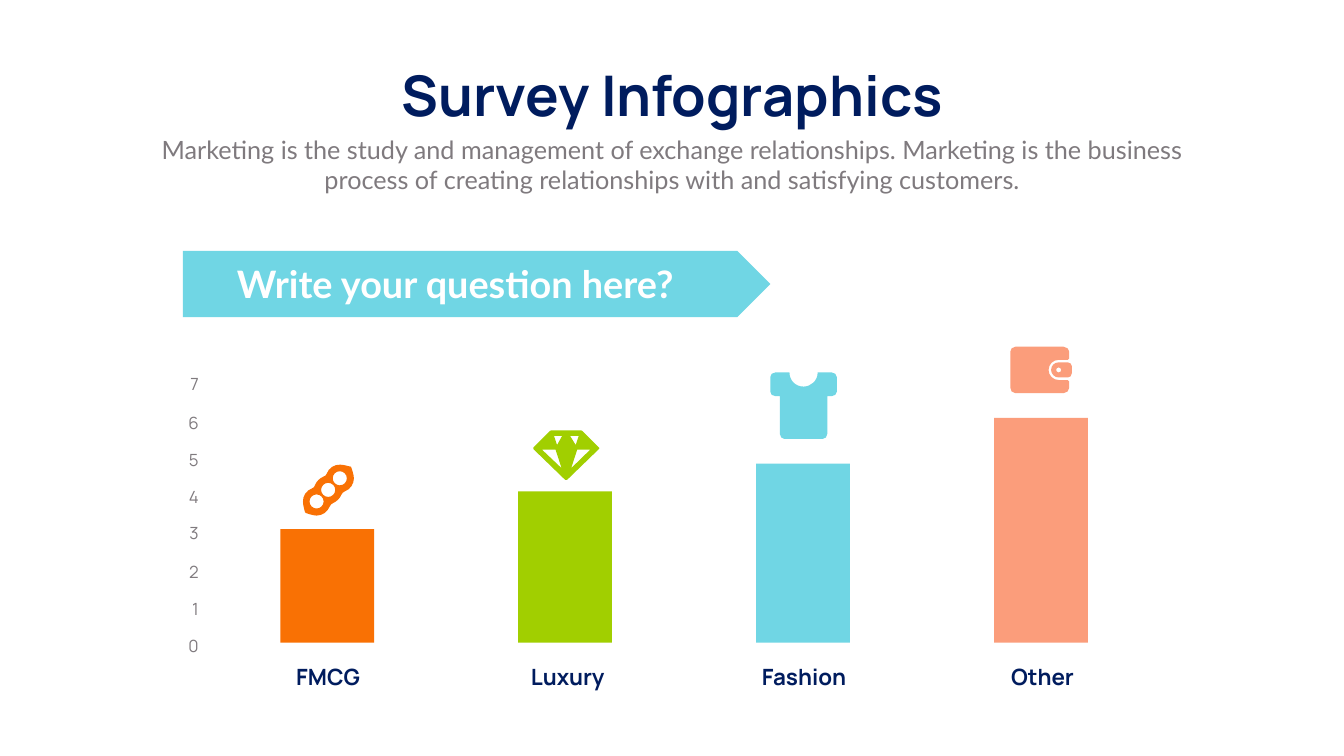
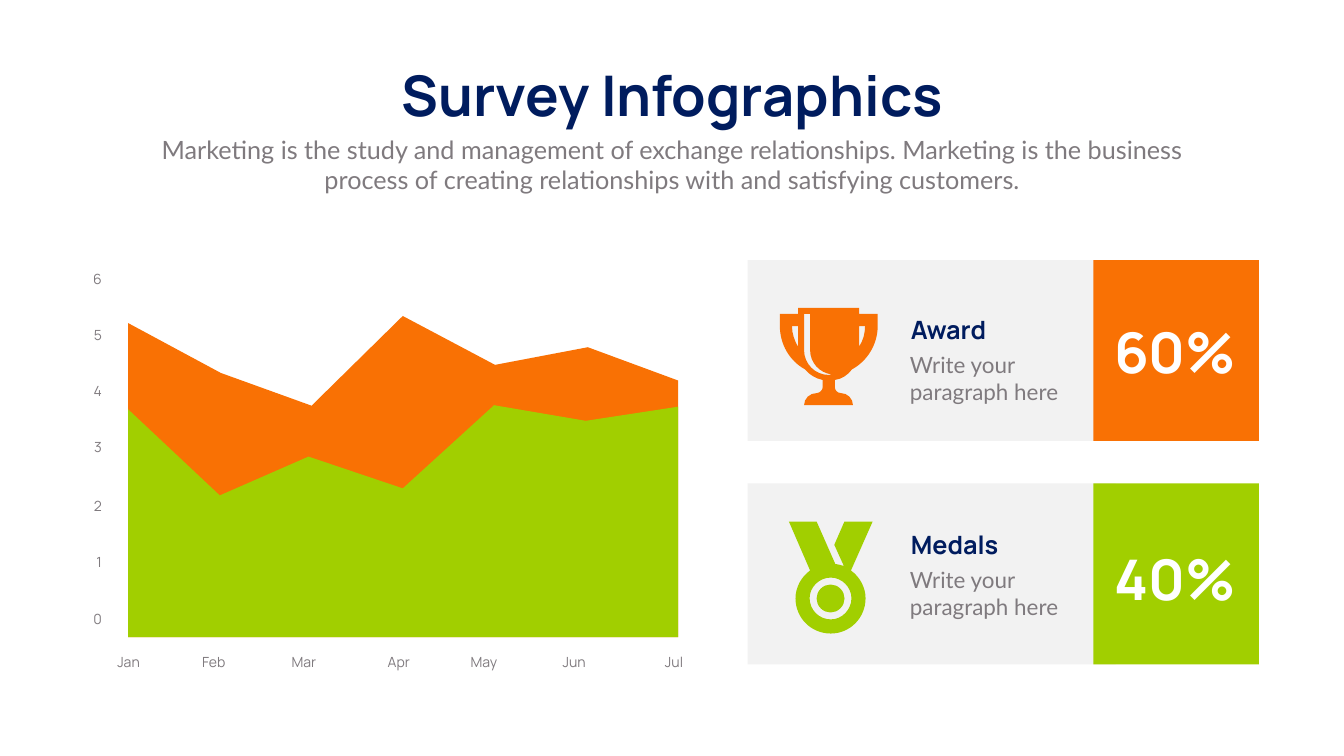
from pptx import Presentation
from pptx.dml.color import RGBColor
from pptx.enum.shapes import MSO_SHAPE as SHAPE
from pptx.enum.text import MSO_AUTO_SIZE as FIT, PP_ALIGN as ALIGN
from pptx.oxml.ns import qn
from pptx.util import Pt

PX = 9144  # EMU in one px, 100 px to the inch
rgb = RGBColor.from_string

NAVY, GREY, WHITE, PALE = "001C5E", "7F7A7E", "FFFFFF", "F2F2F2"
ORANGE, GREEN, CYAN, SALMON = "F97104", "A1CF00", "70D6E4", "FB9D7B"
HEAD, BODY = "Manrope", "Lato"
AXIS_LEADING = 35.6


def add_text(s, words, box, size, color, font=HEAD, bold=False,
             align=ALIGN.LEFT, leading=None, wrap=True):
    tf = s.shapes.add_textbox(*[v * PX for v in box]).text_frame
    tf.word_wrap = wrap
    tf.auto_size = FIT.SHAPE_TO_FIT_TEXT
    p = tf.paragraphs[0]
    p.text = words
    p.alignment = align
    if leading:
        p.line_spacing = Pt(leading)
    p.font.name, p.font.size, p.font.bold = font, Pt(size), bold
    p.font.color.rgb = rgb(color)


def add_figure(s, fill, form, *box):
    """Add a preset in a box, or a freeform from contours.

    A contour holds points (x, y) and Bezier curves (x1, y1, x2, y2, x, y),
    or a single circle (cx, cy, r).
    """
    if box:
        sp = s.shapes.add_shape(form, *[v * PX for v in box])
    else:
        fb, steps = None, []
        for contour in form:
            if len(contour[0]) == 3:
                cx, cy, r = contour[0]
                k = 0.55 * r
                contour = [(cx + r, cy),
                           (cx + r, cy + k, cx + k, cy + r, cx, cy + r),
                           (cx - k, cy + r, cx - r, cy + k, cx - r, cy),
                           (cx - r, cy - k, cx - k, cy - r, cx, cy - r),
                           (cx + k, cy - r, cx + r, cy - k, cx + r, cy)]
            steps += contour[1:]
            pts = [(step[i] * PX, step[i + 1] * PX)
                   for step in contour for i in range(0, len(step), 2)]
            if fb is None:
                fb = s.shapes.build_freeform(*pts[0], scale=1.0)
            else:
                fb.move_to(*pts[0])
            fb.add_line_segments(pts[1:], close=True)
        sp = fb.convert_to_shape()
        # Join the three points of each curve into one Bezier segment
        lines = iter(list(sp.element.iter(qn("a:lnTo"))))
        for step in steps:
            seg = next(lines)
            if len(step) == 6:
                seg.tag = qn("a:cubicBezTo")
                for extra in (next(lines), next(lines)):
                    seg.append(extra[0])
                    extra.getparent().remove(extra)
    sp.shadow.inherit = False
    sp.fill.solid()
    sp.fill.fore_color.rgb = rgb(fill)
    sp.line.fill.background()


# Icon outlines
peanut = [
    [(702, 949), (702, 942, 697, 928, 697, 928), (697, 927, 696, 926, 696, 926),
     (695, 926, 682, 922, 675, 922), (663, 921, 652, 929, 648, 940),
     (647, 943, 645, 945, 641, 946), (634, 949, 628, 955, 625, 962),
     (624, 966, 622, 968, 619, 969), (608, 973, 600, 984, 601, 996),
     (601, 1003, 605, 1016, 605, 1016), (606, 1017, 606, 1018, 607, 1018),
     (607, 1018, 621, 1023, 628, 1023), (640, 1023, 650, 1015, 654, 1005),
     (655, 1002, 658, 999, 661, 998), (668, 995, 674, 989, 677, 982),
     (678, 979, 681, 976, 684, 975), (695, 971, 702, 960, 702, 949)],
    [(628, 995, 14)], [(651, 972, 14)], [(674, 949, 14)],
]
diamond = [
    [(1188, 888), (1155, 855), (1155, 854, 1154, 854, 1153, 854), (1093, 854),
     (1092, 854, 1092, 854, 1091, 855), (1058, 888), (1058, 888, 1058, 889, 1058, 889),
     (1058, 890, 1058, 891, 1058, 891), (1121, 952),
     (1122, 952, 1123, 952, 1123, 952), (1124, 952, 1125, 952, 1125, 952), (1188, 891),
     (1189, 891, 1189, 890, 1189, 889), (1189, 889, 1189, 888, 1188, 888)],
    [(1075, 892), (1102, 892), (1114, 929), (1075, 892)],
    [(1105, 883), (1099, 865), (1115, 865), (1105, 883)],
    [(1148, 865), (1142, 883), (1131, 865), (1148, 865)],
    [(1133, 929), (1145, 892), (1171, 892), (1133, 929)],
]
shirt = [
    [(1650, 739), (1622, 739), (1622, 755, 1609, 767, 1594, 767),
     (1578, 767, 1566, 755, 1566, 739), (1538, 739),
     (1532, 739, 1528, 743, 1528, 748), (1528, 777),
     (1528, 782, 1532, 786, 1538, 786), (1547, 786), (1547, 861),
     (1547, 866, 1551, 871, 1556, 871), (1632, 871),
     (1637, 871, 1641, 866, 1641, 861), (1641, 786), (1650, 786),
     (1655, 786, 1660, 782, 1660, 777), (1660, 748),
     (1660, 743, 1655, 739, 1650, 739)],
]
wallet = [
    [(2118, 754), (2100, 754), (2089, 754, 2080, 745, 2080, 734),
     (2080, 723, 2089, 714, 2100, 714), (2118, 714),
     (2119, 714, 2121, 712, 2121, 711), (2121, 698),
     (2121, 693, 2116, 688, 2110, 688), (2014, 688),
     (2008, 688, 2004, 693, 2004, 698), (2004, 769),
     (2004, 775, 2008, 780, 2014, 780), (2110, 780),
     (2116, 780, 2121, 775, 2121, 769), (2121, 757),
     (2121, 755, 2119, 754, 2118, 754)],
]
clasp = [
    [(2118, 719), (2100, 719), (2092, 719, 2085, 725, 2085, 734),
     (2085, 742, 2092, 749, 2100, 749), (2118, 749),
     (2122, 749, 2126, 746, 2126, 741), (2126, 726),
     (2126, 722, 2122, 719, 2118, 719)],
    [(2100, 734, 5)],
]
trophy = [
    [(1704, 623), (1704, 611), (1583, 611), (1583, 623), (1547, 623), (1547, 647),
     (1547, 683, 1566, 716, 1597, 733), (1606, 744, 1618, 751, 1632, 754),
     (1632, 768), (1632, 774, 1626, 780, 1620, 780),
     (1606, 780, 1595, 791, 1595, 804), (1692, 804),
     (1692, 791, 1681, 780, 1668, 780), (1661, 780, 1656, 774, 1656, 768),
     (1656, 754), (1670, 752, 1682, 744, 1690, 733),
     (1721, 716, 1741, 683, 1741, 647), (1741, 623)],
    [(1583, 688), (1576, 676, 1571, 662, 1571, 647), (1583, 647), (1583, 688)],
    [(1595, 695), (1595, 623), (1607, 623), (1607, 695),
     (1607, 720, 1626, 740, 1650, 743), (1648, 743, 1646, 744, 1644, 744),
     (1617, 744, 1595, 722, 1595, 695)],
    [(1716, 647), (1716, 662, 1712, 676, 1704, 688), (1704, 647), (1716, 647)],
]
medal = [
    [(1688, 1132), (1731, 1035), (1675, 1035), (1655, 1081), (1674, 1123),
     (1668, 1121, 1663, 1120, 1657, 1119), (1620, 1035), (1565, 1035), (1607, 1132),
     (1590, 1144, 1578, 1165, 1578, 1187), (1578, 1226, 1609, 1257, 1648, 1257),
     (1686, 1257, 1717, 1226, 1717, 1187), (1717, 1165, 1705, 1144, 1688, 1132)],
    [(1648, 1229), (1625, 1229, 1606, 1210, 1606, 1187),
     (1606, 1165, 1625, 1146, 1648, 1146), (1670, 1146, 1689, 1165, 1689, 1187),
     (1689, 1210, 1670, 1229, 1648, 1229)],
]
medal_core = [
    [(1667, 1168), (1678, 1179, 1678, 1196, 1667, 1207),
     (1656, 1218, 1639, 1218, 1628, 1207), (1617, 1196, 1617, 1179, 1628, 1168),
     (1639, 1157, 1656, 1157, 1667, 1168)],
]

prs = Presentation()
prs.slide_width, prs.slide_height = 2666 * PX, 1500 * PX
bars_slide, area_slide = [prs.slides.add_slide(prs.slide_layouts[6]) for _ in range(2)]

# Shared heading
for s in (bars_slide, area_slide):
    add_text(s, "Survey Infographics", (742, 115, 1183, 145), 80, NAVY,
             bold=True, align=ALIGN.CENTER, wrap=False)
    add_text(s, "Marketing is the study and management of exchange relationships. "
                "Marketing is the business process of creating relationships with "
                "and satisfying customers.",
             (292, 261, 2082, 131), 36, GREY, BODY, align=ALIGN.CENTER)

# Slide 1: question banner
s = bars_slide
add_figure(s, CYAN, SHAPE.PENTAGON, 363, 498, 1165, 131)
add_text(s, "Write your question here?", (460, 512, 924, 101), 54, WHITE, BODY, bold=True)

# Bars with icons and categories
base = 1275
bars = [("FMCG", 524, ORANGE, 225, [peanut]), ("Luxury", 999, GREEN, 300, [diamond]),
        ("Fashion", 1468, CYAN, 355, [shirt]), ("Other", 1941, SALMON, 446, [wallet, clasp])]
for i, (name, name_left, color, height, icon) in enumerate(bars):
    for outline in icon:
        add_figure(s, color, outline)
    add_figure(s, color, SHAPE.RECTANGLE, 556 + 472 * i, base - height, 186, height)
    add_text(s, name, (name_left, 1314, 254, 61), 32, NAVY, bold=True,
             align=ALIGN.CENTER, leading=AXIS_LEADING)

# Value axis
for value, top in enumerate((1246, 1173, 1100, 1023, 951, 878, 805, 728)):
    add_text(s, str(value), (341, top, 63, 58), 24, GREY,
             align=ALIGN.RIGHT, leading=AXIS_LEADING)

# Slide 2: award cards
s = area_slide
cards = [("Award", "60%", ORANGE, 516, 619, (2200, 626, 262, 145), [trophy]),
         ("Medals", "40%", GREEN, 959, 1046, (2198, 1076, 267, 145), [medal, medal_core])]
for name, share, color, top, name_top, share_box, icon in cards:
    add_figure(s, PALE, SHAPE.RECTANGLE, 1483, top, 730, 359)
    for outline in icon:
        add_figure(s, color, outline)
    add_text(s, name, (1797, name_top, 283, 71), 36, NAVY, bold=True)
    add_text(s, "Write your paragraph here", (1795, name_top + 73, 385, 118), 32, GREY, BODY)
    add_figure(s, color, SHAPE.RECTANGLE, 2169, top, 328, 359)
    add_text(s, share, share_box, 80, WHITE, bold=True, align=ALIGN.CENTER, wrap=False)

# Overlapping areas
left, right, base = 254, 1345, 1264
areas = [(ORANGE, [(left, 641), (438, 740), (618, 805), (799, 627), (982, 724),
                   (1166, 689), (right, 755)]),
         (GREEN, [(left, 812), (436, 983), (612, 906), (799, 969), (980, 804),
                  (1162, 835), (right, 807)])]
for color, ridge in areas:
    add_figure(s, color, [ridge + [(right, base), (left, base), ridge[0]]])

# Month and value axes
months = {"Jan": 184, "Feb": 353, "Mar": 532, "Apr": 720, "May": 889, "Jun": 1068, "Jul": 1266}
for month, x in months.items():
    add_text(s, month, (x, 1276, 142, 57), 20, GREY,
             align=ALIGN.CENTER, leading=AXIS_LEADING)
for value, top in enumerate((1190, 1078, 967, 849, 738, 627, 516)):
    add_text(s, str(value), (142, top, 70, 57), 20, GREY,
             align=ALIGN.RIGHT, leading=AXIS_LEADING)

prs.save("out.pptx")
